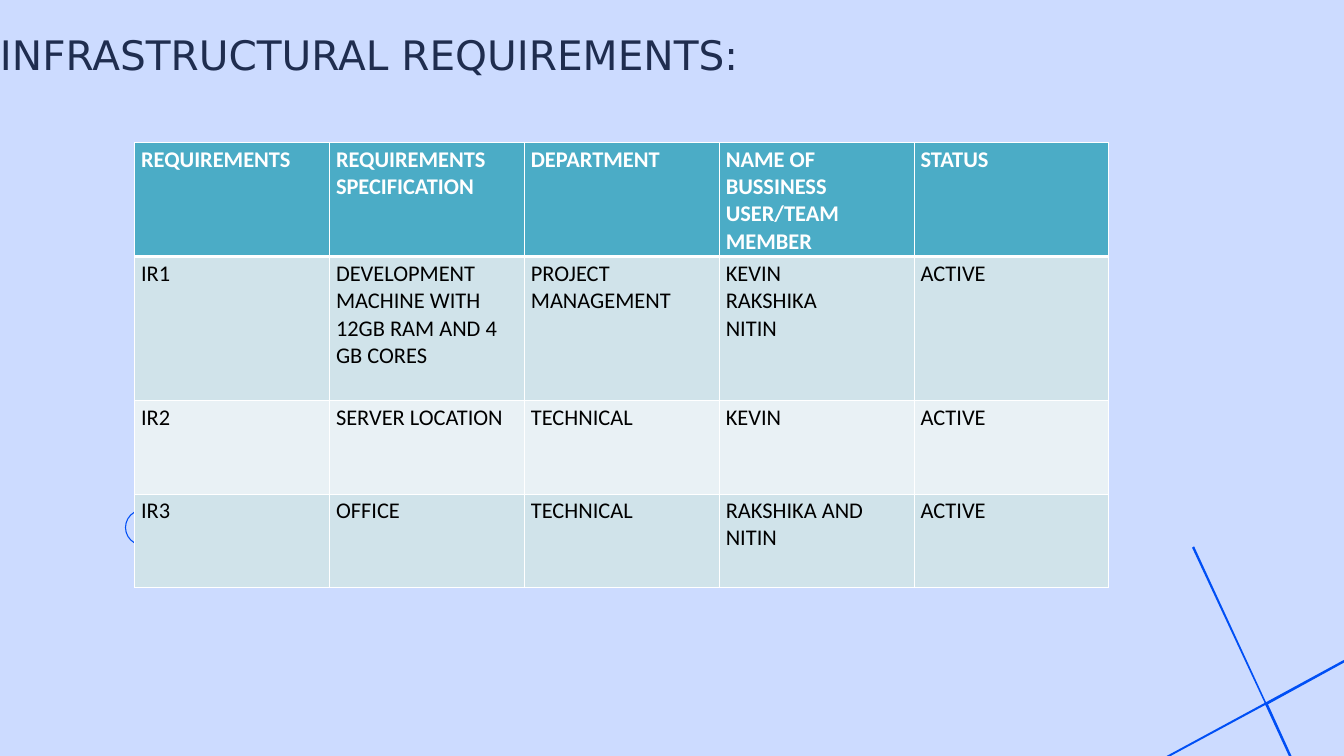
import pptx
import pptx.util
import pptx.dml.color
import pptx.enum.shapes
import pptx.enum.text
import pptx.oxml
import pptx.oxml.ns

Inches = pptx.util.Inches
Pt = pptx.util.Pt
SHAPES = pptx.enum.shapes.MSO_SHAPE

COLORS = {
    "background": "CCDBFF",
    "title": "1F2D4F",
    "accent": "004FF5",
    "header": "4BACC6",
    "band_dark": "D0E3EA",
    "band_light": "E9F1F5",
    "white": "FFFFFF",
    "black": "000000",
}
TITLE = "INFRASTRUCTURAL REQUIREMENTS:"
ROWS = [
    ["REQUIREMENTS", "REQUIREMENTS\nSPECIFICATION", "DEPARTMENT",
     "NAME OF BUSSINESS\nUSER/TEAM MEMBER", "STATUS"],
    ["IR1", "DEVELOPMENT MACHINE WITH 12GB RAM AND 4 GB CORES",
     "PROJECT MANAGEMENT", "KEVIN\nRAKSHIKA\nNITIN", "ACTIVE"],
    ["IR2", "SERVER LOCATION", "TECHNICAL", "KEVIN", "ACTIVE"],
    ["IR3", "OFFICE", "TECHNICAL", "RAKSHIKA AND NITIN", "ACTIVE"],
]
ROW_HEIGHTS = [1.5, 2.14, 1.39, 1.39]
COLUMN_WIDTH = 2.9
CROSS = [
    (17.36, 11.25), (18.82, 10.46), (17.74, 8.15), (17.77, 8.13),
    (18.84, 10.45), (20, 9.82), (20, 9.86), (18.87, 10.48),
    (19.22, 11.25), (19.18, 11.25), (18.83, 10.49), (17.42, 11.25),
]


def color(name):
    return pptx.dml.color.RGBColor.from_string(COLORS[name])


def paint(shape, name):
    shape.shadow.inherit = False
    shape.fill.solid()
    shape.fill.fore_color.rgb = color(name)
    shape.line.fill.background()


def add_run(paragraph, text, font, size, name, bold=False):
    run = paragraph.add_run()
    run.text = text
    run.font.name = font
    run.font.size = Pt(size)
    run.font.bold = bold
    run.font.color.rgb = color(name)


def add_title(slide):
    box = slide.shapes.add_textbox(Inches(0), Inches(0.38), Inches(15), Inches(0.8))
    frame = box.text_frame
    frame.word_wrap = True
    frame.auto_size = pptx.enum.text.MSO_AUTO_SIZE.SHAPE_TO_FIT_TEXT
    frame.margin_left = frame.margin_right = frame.margin_bottom = 0
    frame.margin_top = Inches(0.02)
    paragraph = frame.paragraphs[0]
    paragraph.line_spacing = 1.07
    paragraph.space_before = Pt(1.2)
    add_run(paragraph, TITLE, "DejaVu Sans", 43.5, "title")


def add_decorations(slide):
    ring = slide.shapes.add_shape(
        SHAPES.DONUT, Inches(1.86), Inches(7.58), Inches(0.54), Inches(0.54))
    ring.adjustments[0] = 0.03
    paint(ring, "accent")
    points = [(Inches(x), Inches(y)) for x, y in CROSS]
    builder = slide.shapes.build_freeform(*points[0])
    builder.add_line_segments(points[1:], close=True)
    paint(builder.convert_to_shape(), "accent")


def set_borders(cell, bottom_width):
    properties = cell._tc.get_or_add_tcPr()
    widths = {"lnL": 1, "lnR": 1, "lnT": 1, "lnB": bottom_width}
    for position, (side, width) in enumerate(widths.items()):
        properties.insert(position, pptx.oxml.parse_xml(
            f'<a:{side} {pptx.oxml.ns.nsdecls("a")} w="{Pt(width)}"><a:solidFill>'
            f'<a:srgbClr val="{COLORS["white"]}"/></a:solidFill></a:{side}>'))


def add_requirements_table(slide):
    columns = len(ROWS[0])
    table = slide.shapes.add_table(
        len(ROWS), columns, Inches(2), Inches(2.12),
        Inches(COLUMN_WIDTH * columns), Inches(sum(ROW_HEIGHTS))).table
    for column in table.columns:
        column.width = Inches(COLUMN_WIDTH)
    for row_index, texts in enumerate(ROWS):
        table.rows[row_index].height = Inches(ROW_HEIGHTS[row_index])
        is_header = row_index == 0
        band = "band_dark" if row_index % 2 else "band_light"
        for column_index, text in enumerate(texts):
            cell = table.cell(row_index, column_index)
            cell.fill.solid()
            cell.fill.fore_color.rgb = color("header" if is_header else band)
            set_borders(cell, 3 if is_header else 1)
            frame = cell.text_frame
            for line_index, line in enumerate(text.split("\n")):
                paragraph = frame.add_paragraph() if line_index else frame.paragraphs[0]
                add_run(paragraph, line, "Calibri", 24,
                        "white" if is_header else "black", is_header)


def main():
    presentation = pptx.Presentation()
    presentation.slide_width = Inches(20)
    presentation.slide_height = Inches(11.25)
    slide = presentation.slides.add_slide(presentation.slide_layouts[6])
    backdrop = slide.shapes.add_shape(
        SHAPES.RECTANGLE, 0, 0, presentation.slide_width, presentation.slide_height)
    paint(backdrop, "background")
    add_title(slide)
    add_decorations(slide)
    add_requirements_table(slide)
    presentation.save("out.pptx")


if __name__ == "__main__":
    main()
